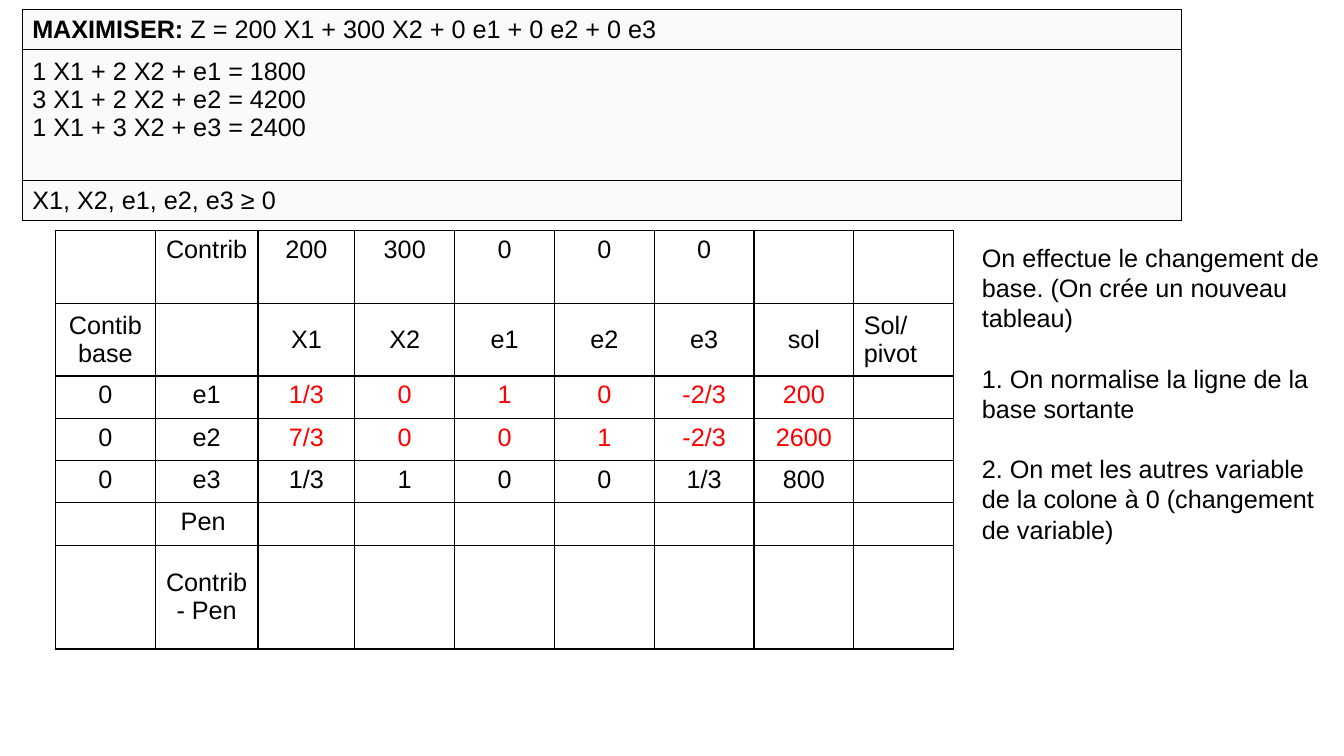
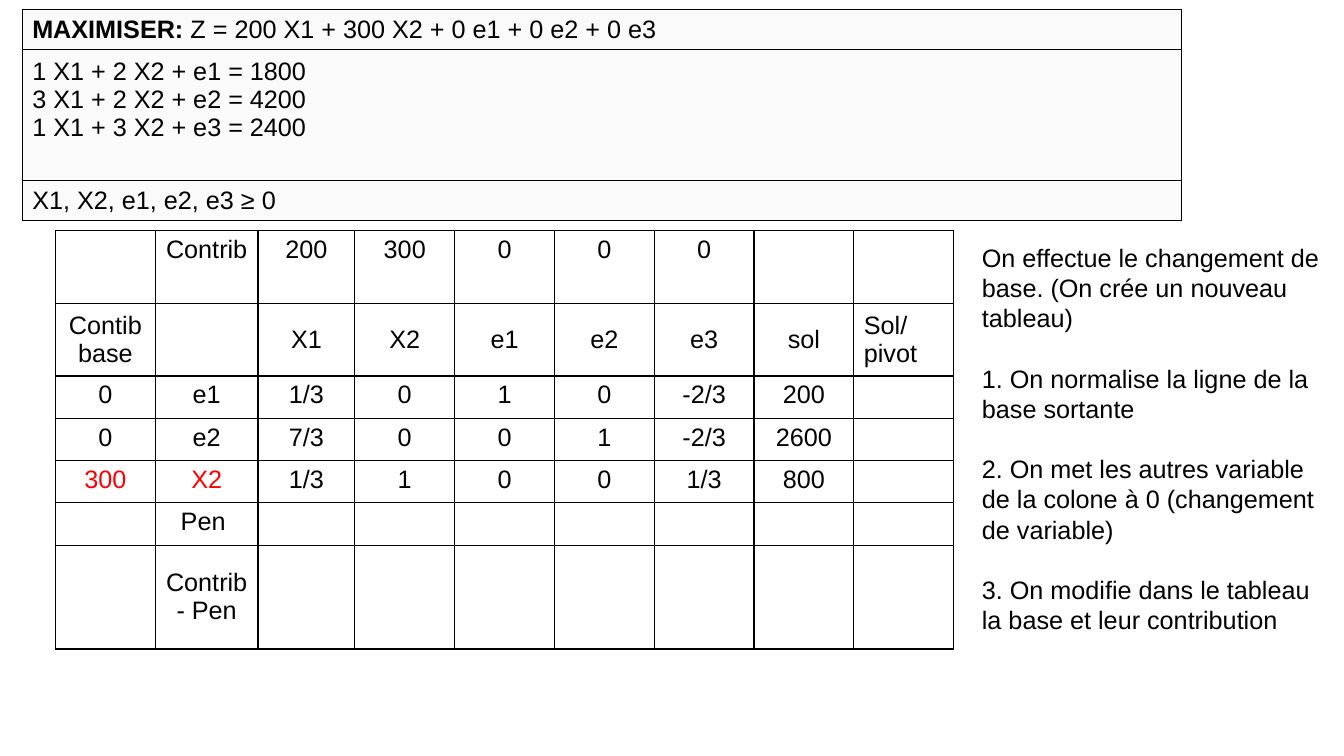
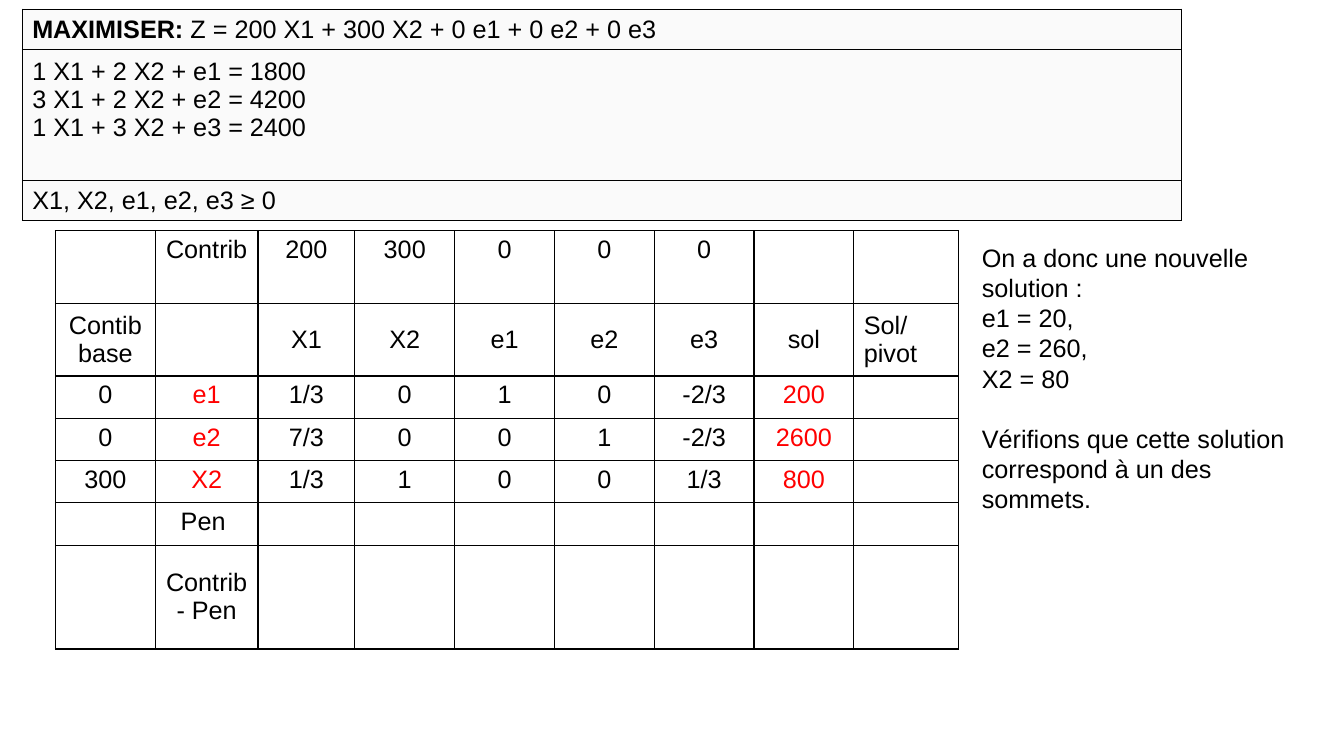
import dataclasses
import itertools

import pptx
import pptx.dml.color
import pptx.enum.text
import pptx.oxml
import pptx.oxml.ns
import pptx.util
from lxml import etree

Inches = pptx.util.Inches
Pt = pptx.util.Pt
RGB = pptx.dml.color.RGBColor.from_string
ALIGN = pptx.enum.text.PP_ALIGN
ANCHOR = pptx.enum.text.MSO_ANCHOR


@dataclasses.dataclass(frozen=True)
class Theme:
    font: str = "Arial"
    size: float = 18
    ink: str = "000000"
    accent: str = "FF0000"
    panel: str = "FAFAFA"
    gap: float = 21.6  # one line of text
    model_border: float = 0.75
    tableau_border: float = 0.96


THEME = Theme()

MODEL_ROWS = [0.4, 1.3, 0.4]
MODEL_WIDTH = 11.5
OBJECTIVE = ("MAXIMISER: ", "Z = 200 X1 + 300 X2 + 0 e1 + 0 e2 + 0 e3")
CONSTRAINTS = ["1 X1 + 2 X2 + e1 = 1800",
               "3 X1 + 2 X2 + e2 = 4200",
               "1 X1 + 3 X2 + e3 = 2400"]
SIGNS = "X1, X2, e1, e2, e3 ≥ 0"

TABLEAU_COLS = [0.99, 1.02, 0.96] + [0.99] * 5
TABLEAU_ROWS = [0.72] * 2 + [0.42] * 4 + [1.03]
MIDDLE_ROWS = {1, 6}
HEAD = [["", "Contrib", "200", "300", "0", "0", "0", "", ""],
        ["Contib base", "", "X1", "X2", "e1", "e2", "e3", "sol", "Sol/pivot"]]
BODY = [["1/3", "0", "1", "0", "-2/3", "200", ""],
        ["7/3", "0", "0", "1", "-2/3", "2600", ""],
        ["1/3", "1", "0", "0", "1/3", "800", ""]]
FOOT = [["", label] + [""] * 7 for label in ("Pen ", "Contrib - Pen")]

OLD_BASE = [("0", "e1"), ("0", "e2"), ("0", "e3")]
NEW_BASE = OLD_BASE[:2] + [("300", "X2")]

STEPS = ["On effectue le changement de base. (On crée un nouveau tableau)",
         "1. On normalise la ligne de la base sortante",
         "2. On met les autres variable de la colone à 0 (changement de variable)",
         "3. On modifie dans le tableau la base et leur contribution"]
SOLUTION = [["On a donc une nouvelle solution :", "e1 = 20,", "e2 = 260,", "X2 = 80"],
            ["Vérifions que cette solution correspond à un des sommets."]]


def add_run(p, text, color=THEME.ink, bold=False):
    r = p.add_run()
    r.text = text
    r.font.name = THEME.font
    r.font.size = Pt(THEME.size)
    r.font.bold = bold
    r.font.color.rgb = RGB(color)


def set_borders(cell, width):
    """Draw all four sides; borders must come before the cell's fill."""
    tc_pr = cell._tc.get_or_add_tcPr()
    for i, side in enumerate(("lnL", "lnR", "lnT", "lnB")):
        ln = etree.Element(pptx.oxml.ns.qn("a:" + side), w=str(Pt(width)))
        fill = etree.SubElement(ln, pptx.oxml.ns.qn("a:solidFill"))
        etree.SubElement(fill, pptx.oxml.ns.qn("a:srgbClr"), val=THEME.ink)
        tc_pr.insert(i, ln)


def add_grid(slide, left, top, cols, rows, border, fill=None):
    """Add a plain bordered table whose cells share one fill, or none."""
    table = slide.shapes.add_table(len(rows), len(cols), Inches(left), Inches(top),
                                   Inches(sum(cols)), Inches(sum(rows))).table
    table.first_row = table.horz_banding = False
    for col, width in zip(table.columns, cols):
        col.width = Inches(width)
    for row, height in zip(table.rows, rows):
        row.height = Inches(height)
    for cell in table.iter_cells():
        if fill:
            cell.fill.solid()
            cell.fill.fore_color.rgb = RGB(fill)
        else:
            cell.fill.background()
        set_borders(cell, border)
    return table


def add_model(slide):
    """Objective, constraints and sign conditions, one row each."""
    table = add_grid(slide, 0.22, 0.09, [MODEL_WIDTH], MODEL_ROWS,
                     THEME.model_border, THEME.panel)
    cells = list(table.iter_cells())
    for cell in cells:
        cell.vertical_anchor = ANCHOR.MIDDLE
    objective, constraints, signs = (c.text_frame.paragraphs[0] for c in cells)
    add_run(objective, OBJECTIVE[0], bold=True)
    add_run(objective, OBJECTIVE[1])
    for i, line in enumerate(CONSTRAINTS):
        if i:
            constraints.add_line_break()
        add_run(constraints, line)
    cells[1].margin_bottom = Inches(0.35)
    add_run(signs, SIGNS)


def add_tableau(slide, base, red, last_col):
    """Simplex tableau; red holds the (row, column) pairs to highlight."""
    table = add_grid(slide, 0.55, 2.29, TABLEAU_COLS + [last_col], TABLEAU_ROWS,
                     THEME.tableau_border)
    texts = HEAD + [[*b, *values] for b, values in zip(base, BODY)] + FOOT
    for r, row in enumerate(texts):
        for c, text in enumerate(row):
            if not text:
                continue
            cell = table.cell(r, c)
            if r in MIDDLE_ROWS:
                cell.vertical_anchor = ANCHOR.MIDDLE
            p = cell.text_frame.paragraphs[0]
            p.alignment = ALIGN.LEFT if c == len(row) - 1 else ALIGN.CENTER
            add_run(p, text, THEME.accent if (r, c) in red else THEME.ink)


def add_notes_column(slide, groups, height):
    """Text beside the tableau, with one line of space between groups."""
    tf = slide.shapes.add_textbox(Inches(9.64), Inches(2.35),
                                  Inches(3.61), Inches(height)).text_frame
    tf.word_wrap = True
    p = tf.paragraphs[0]
    for g, group in enumerate(groups):
        for i, line in enumerate(group):
            if g or i:
                p = tf.add_paragraph()
            if g and not i:
                p.space_before = Pt(THEME.gap)
            add_run(p, line)


def main():
    prs = pptx.Presentation()
    prs.slide_width, prs.slide_height = Inches(13.33), Inches(7.5)
    steps = [[step] for step in STEPS]
    slides = [
        (OLD_BASE, set(itertools.product((2, 3), range(2, 8))), 0.99, steps[:3], 3.65),
        (NEW_BASE, {(4, 0), (4, 1)}, 0.99, steps, 4.02),
        (NEW_BASE, set(itertools.product((2, 3, 4), (1, 7))), 1.04, SOLUTION, 3.65),
    ]
    for base, red, last_col, notes, height in slides:
        s = prs.slides.add_slide(prs.slide_layouts[6])
        add_model(s)
        add_tableau(s, base, red, last_col)
        add_notes_column(s, notes, height)
    prs.save("out.pptx")


if __name__ == "__main__":
    main()
